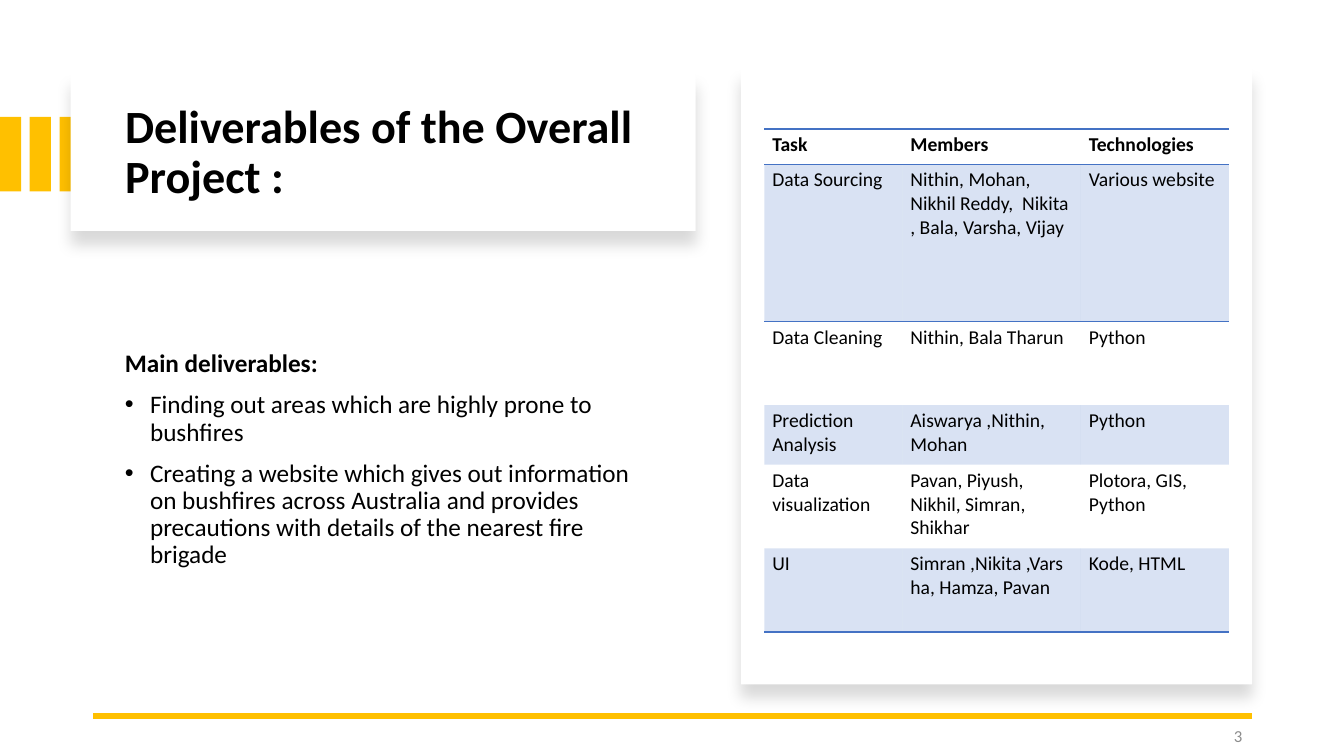
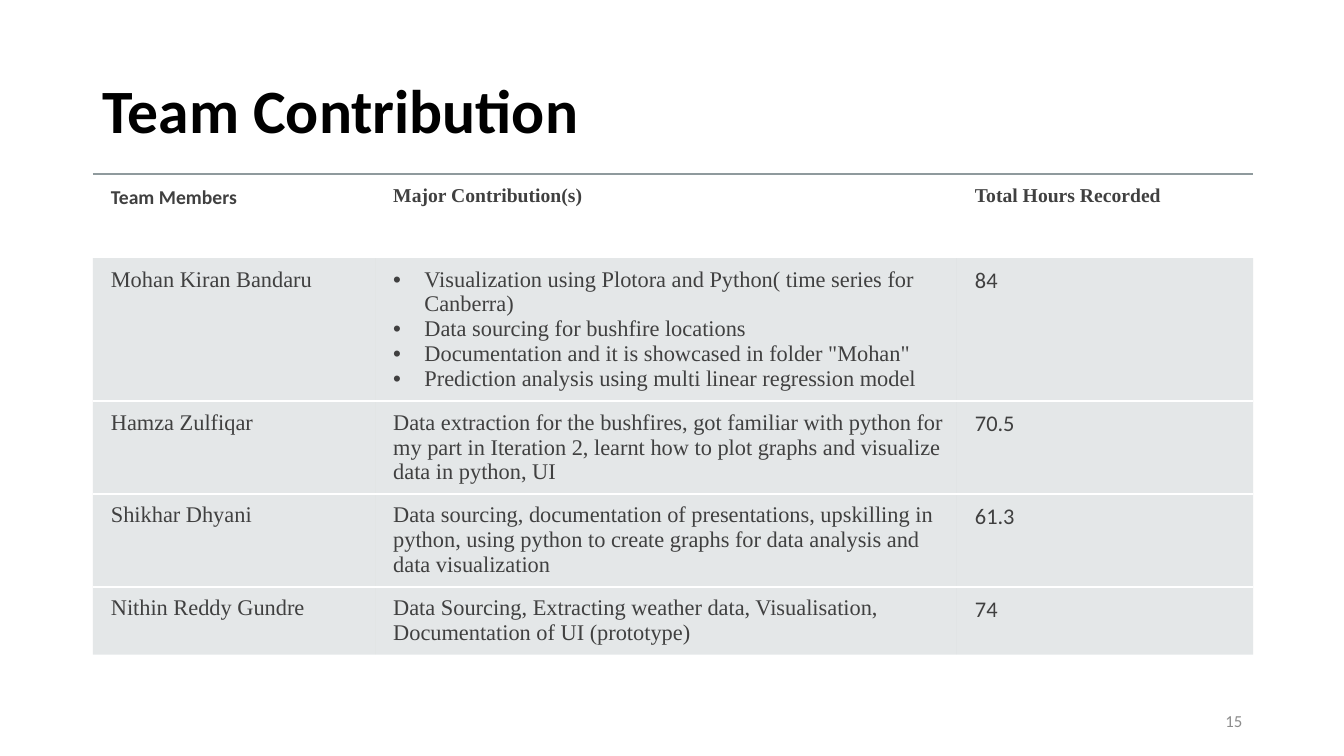
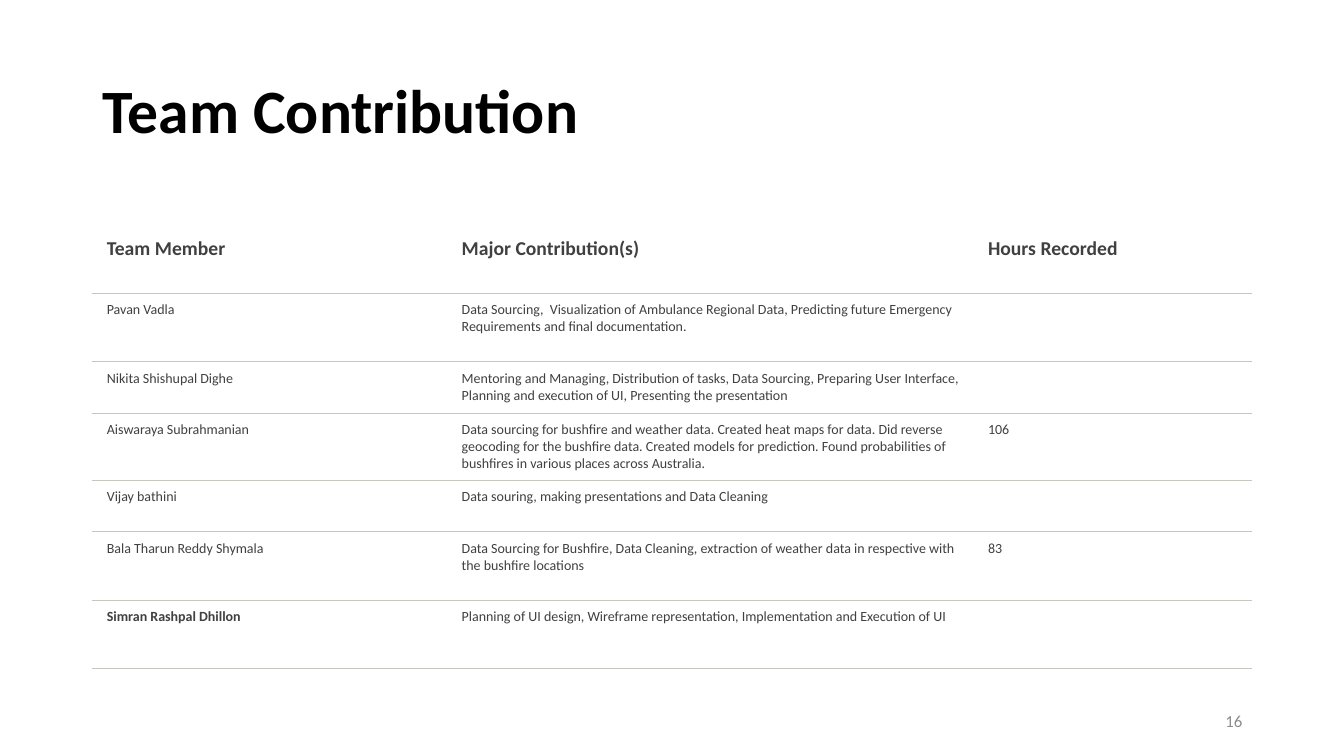
"""Builds three project slides: the deliverables and two team contribution tables."""
from lxml import etree
from pptx import Presentation
from pptx.dml.color import RGBColor
from pptx.enum.shapes import MSO_CONNECTOR, MSO_SHAPE
from pptx.enum.text import MSO_ANCHOR, MSO_AUTO_SIZE, PP_ALIGN
from pptx.oxml.ns import qn
from pptx.util import Inches, Pt

RECT, STRAIGHT = MSO_SHAPE.RECTANGLE, MSO_CONNECTOR.STRAIGHT
MIDDLE, NO_FIT = MSO_ANCHOR.MIDDLE, MSO_AUTO_SIZE.NONE
LEFT, RIGHT = PP_ALIGN.LEFT, PP_ALIGN.RIGHT
TITLE_ONLY = 5
NO_STYLE = "{2D5ABB26-0587-4C30-8999-92F81FD0307C}"
SANS, SERIF = "Calibri", "Times New Roman"
WIDTH, HEIGHT = 13.33, 7.5
MARGIN, FULL = 0.92, 11.5
COLORS = {
    "gold": "FFC000", "white": "FFFFFF", "black": "000000", "ink": "404040",
    "number": "8C8C8C", "blue": "4472C4", "grey": "B4BCBE",
    "rule": "8F9A9D", "hairline": "C7C6C1",
}

DELIVERABLES = [
    "Finding out areas which are highly prone to bushfires",
    "Creating a website which gives out information on bushfires across Australia "
    "and provides precautions with details of the nearest fire brigade",
]

TASKS = {
    "at": (7.58, 1.28), "cols": (1.37, 1.77, 1.47),
    "rows": (0.35, 1.56, 0.83, 0.59, 0.83, 0.83),
    "sizes": (14, 14), "color": "black",
    "fonts": ((SANS,) * 3, (SANS,) * 3),
    "insets": ((0.08, 0.04, 0.08, 0.04),) * 2,
    "fill": ("blue", 20), "filled": (1, 3, 5), "bold": (),
    "edges": dict.fromkeys((0, 1, 6), ("blue", 1, 100)),
    "cells": [
        ("Task", "Members", "Technologies"),
        ("Data Sourcing", "Nithin, Mohan, Nikhil Reddy,  Nikita , Bala, Varsha, Vijay",
         "Various website"),
        ("Data Cleaning", "Nithin, Bala Tharun", "Python"),
        ("Prediction Analysis", "Aiswarya ,Nithin, Mohan", "Python"),
        ("Data visualization", "Pavan, Piyush, Nikhil, Simran, Shikhar",
         "Plotora, GIS, Python"),
        ("UI", "Simran ,Nikita ,Varsha, Hamza, Pavan", "Kode, HTML"),
    ],
}

HOURS = {
    "at": (MARGIN, 1.73), "cols": (2.8, 5.77, 2.94),
    "rows": (0.83, 1.42, 0.92, 0.92, 0.67),
    "sizes": (14, 16), "color": "ink",
    "fonts": ((SANS, SERIF, SERIF), (SERIF, SERIF, SANS)),
    "insets": ((0.18, 0.11, 0.11, 0.11), (0.18, 0.09, 0.09, 0.09)),
    "fill": ("grey", 35), "filled": (1, 2, 3, 4), "bold": (),
    "edges": {0: ("rule", 1.5, 60),
              **dict.fromkeys((2, 3, 4), ("white", 1.5, 100))},
    "cells": [
        ("Team Members", "Major Contribution(s)", "Total Hours Recorded"),
        ("Mohan Kiran Bandaru",
         ["Visualization using Plotora and Python( time series for Canberra)",
          "Data sourcing for bushfire locations",
          'Documentation and it is showcased in folder "Mohan"',
          "Prediction analysis using multi linear regression model"], "84"),
        ("Hamza Zulfiqar",
         "Data extraction for the bushfires, got familiar with python for my part in "
         "Iteration 2, learnt how to plot graphs and visualize data in python, UI", "70.5"),
        ("Shikhar Dhyani",
         "Data sourcing, documentation of presentations, upskilling in python, using "
         "python to create graphs for data analysis and data visualization", "61.3"),
        ("Nithin Reddy Gundre",
         "Data Sourcing, Extracting weather data, Visualisation, "
         "Documentation of UI (prototype)", "74"),
    ],
}

MORE_HOURS = {
    "at": (0.91, 2.27), "cols": (3.52, 5.22, 2.77),
    "rows": (0.64, 0.68, 0.51, 0.51, 0.51, 0.68, 0.68),
    "sizes": (14, 10), "color": "ink",
    "fonts": ((SANS,) * 3, (SANS,) * 3),
    "insets": ((0.15, 0.08, 0.11, 0.08),) * 2,
    "fill": None, "filled": (), "bold": ((6, 0),),
    "edges": dict.fromkeys(range(1, 8), ("hairline", 0.75, 100)),
    "cells": [
        ("Team Member", "Major Contribution(s)", "Hours Recorded"),
        ("Pavan Vadla",
         "Data Sourcing,  Visualization of Ambulance Regional Data, Predicting future "
         "Emergency Requirements and final documentation.", ""),
        ("Nikita Shishupal Dighe",
         "Mentoring and Managing, Distribution of tasks, Data Sourcing, Preparing User "
         "Interface, Planning and execution of UI, Presenting the presentation", ""),
        ("Aiswaraya Subrahmanian",
         "Data sourcing for bushfire and weather data. Created heat maps for data. Did "
         "reverse geocoding for the bushfire data. Created models for prediction. Found "
         "probabilities of bushfires in various places across Australia.", "106"),
        ("Vijay bathini", "Data souring, making presentations and Data Cleaning", ""),
        ("Bala Tharun Reddy Shymala",
         "Data Sourcing for Bushfire, Data Cleaning, extraction of weather data in "
         "respective with the bushfire locations", "83"),
        ("Simran Rashpal Dhillon",
         "Planning of UI design, Wireframe representation, Implementation and "
         "Execution of UI", ""),
    ],
}


def rgb(name):
    """Return a named colour."""
    return RGBColor.from_string(COLORS[name])


def node(parent, tag, **attrs):
    """Append a drawing element with attributes."""
    return etree.SubElement(parent, qn(tag), {k: str(v) for k, v in attrs.items()})


def assign(obj, values):
    """Set several attributes from a dict."""
    for name, value in values.items():
        setattr(obj, name, value)


def write(p, text, size, color, font=SANS, bold=False, bullet=0, **fmt):
    """Fill one paragraph, bulleted when a hanging indent is given."""
    r = p.add_run()
    r.text = text
    assign(r.font, {"size": Pt(size), "name": font, "bold": bold})
    r.font.color.rgb = rgb(color)
    assign(p, fmt)
    if bullet:
        pPr = p._p.get_or_add_pPr()
        pPr.set("marL", str(Inches(bullet)))
        pPr.set("indent", str(-Inches(bullet)))
        node(pPr, "a:buFont", typeface="Arial")
        node(pPr, "a:buChar", char="•")


def place(sp, box):
    """Position a shape and prepare its text frame."""
    assign(sp, dict(zip(("left", "top", "width", "height"), map(Inches, box))))
    tf = sp.text_frame
    assign(tf, {"word_wrap": True, "auto_size": NO_FIT, "vertical_anchor": MIDDLE})
    return tf


def add_rect(shapes, box, color, shadow=False):
    """Draw a plain rectangle, optionally with a soft drop shadow."""
    sp = shapes.add_shape(RECT, *map(Inches, box))
    sp.shadow.inherit = False
    sp.fill.solid()
    sp.fill.fore_color.rgb = rgb(color)
    sp.line.fill.background()
    if shadow:
        effects = sp._element.spPr.find(qn("a:effectLst"))
        outer = node(effects, "a:outerShdw", blurRad=Pt(11), dist=Pt(10),
                     dir=5400000, algn="t", rotWithShape=0)
        tint = node(outer, "a:srgbClr", val=COLORS["black"])
        node(tint, "a:alpha", val=15000)


def add_slide(prs, title, number, box=(MARGIN, 0.4, FULL, 1.45), size=44, number_top=6.95):
    """Add a slide with its title and number."""
    s = prs.slides.add_slide(prs.slide_layouts[TITLE_ONLY])
    tf = place(s.shapes.title, box)
    write(tf.paragraphs[0], title, size, "black", bold=True, alignment=LEFT, line_spacing=0.9)
    tf = place(s.shapes.add_textbox(0, 0, 0, 0), (MARGIN + FULL - 3, number_top, 3, 0.4))
    write(tf.paragraphs[0], number, 12, "number", alignment=RIGHT, space_after=Pt(6))
    return s


def add_edge(tcPr, tag, edge):
    """Put a border line in front of the cell's fill."""
    color, width, alpha = edge
    ln = etree.Element(qn(tag), {"w": str(Pt(width))})
    tint = node(node(ln, "a:solidFill"), "a:srgbClr", val=COLORS[color])
    node(tint, "a:alpha", val=alpha * 1000)
    tcPr.insert(0, ln)


def fill_cell(cell, content, spec, row, col):
    """Write and format one table cell."""
    body = int(row > 0)
    names = ("margin_left", "margin_top", "margin_right", "margin_bottom")
    assign(cell, dict(zip(names, map(Inches, spec["insets"][body]))))
    bulleted = isinstance(content, list)
    for i, text in enumerate(content if bulleted else [content]):
        tf = cell.text_frame
        p = tf.add_paragraph() if i else tf.paragraphs[0]
        if text:
            write(p, text, spec["sizes"][body], spec["color"], spec["fonts"][body][col],
                  not body or (row, col) in spec["bold"], 0.31 if bulleted else 0)
    tcPr = cell._tc.get_or_add_tcPr()
    if row in spec["filled"]:
        color, alpha = spec["fill"]
        cell.fill.solid()
        cell.fill.fore_color.rgb = rgb(color)
        node(tcPr.find(qn("a:solidFill")).find(qn("a:srgbClr")), "a:alpha", val=alpha * 1000)
    else:
        cell.fill.background()
    for tag, k in (("a:lnB", row + 1), ("a:lnT", row)):
        if k in spec["edges"]:
            add_edge(tcPr, tag, spec["edges"][k])


def add_grid(s, spec):
    """Add a table from its specification."""
    cols, rows = spec["cols"], spec["rows"]
    box = (*spec["at"], sum(cols), sum(rows))
    tbl = s.shapes.add_table(len(rows), len(cols), *map(Inches, box)).table
    assign(tbl, {"first_row": False, "horz_banding": False})
    tbl._tbl.tblPr.find(qn("a:tableStyleId")).text = NO_STYLE
    for column, width in zip(tbl.columns, cols):
        column.width = Inches(width)
    for row, height in zip(tbl.rows, rows):
        row.height = Inches(height)
    for i, line in enumerate(spec["cells"]):
        for j, content in enumerate(line):
            fill_cell(tbl.cell(i, j), content, spec, i, j)


def deliverables_slide(prs):
    """Build the deliverables slide."""
    s = add_slide(prs, "Deliverables of the Overall Project :", "3",
                  (1.14, 0.96, 5.53, 1.13), 33, 7.1)
    bars = s.shapes.add_group_shape()
    for i in range(3):
        add_rect(bars.shapes, (i * 0.59 / 2, 1.16, 0.21, 0.74), "gold")
    add_rect(s.shapes, (0.7, 0.72, 6.2, 1.57), "white", True)
    s.shapes._spTree.append(s.shapes.title._element)
    tf = place(s.shapes.add_textbox(0, 0, 0, 0), (1.14, 2.76, 5.46, 4.02))
    tf.margin_bottom = Inches(0.46)
    fmt = {"line_spacing": 0.9, "space_before": Pt(10)}
    write(tf.paragraphs[0], "Main deliverables:", 18, "black", bold=True, **fmt)
    for text in DELIVERABLES:
        write(tf.add_paragraph(), text, 18, "black", bullet=0.25, **fmt)
    add_rect(s.shapes, (7.35, 0.67, 5.07, 6.12), "white", True)
    ends = (MARGIN + FULL, 7.1, MARGIN, 7.1)
    rule = s.shapes.add_connector(STRAIGHT, *map(Inches, ends))
    rule.line.color.rgb = rgb("gold")
    rule.line.width = Pt(4.5)
    node(rule._element.spPr, "a:effectLst")
    add_grid(s, TASKS)


def main():
    """Build and save the deck."""
    prs = Presentation()
    assign(prs, {"slide_width": Inches(WIDTH), "slide_height": Inches(HEIGHT)})
    deliverables_slide(prs)
    for number, spec in (("15", HOURS), ("16", MORE_HOURS)):
        add_grid(add_slide(prs, "Team Contribution", number), spec)
    prs.save("out.pptx")


if __name__ == "__main__":
    main()
